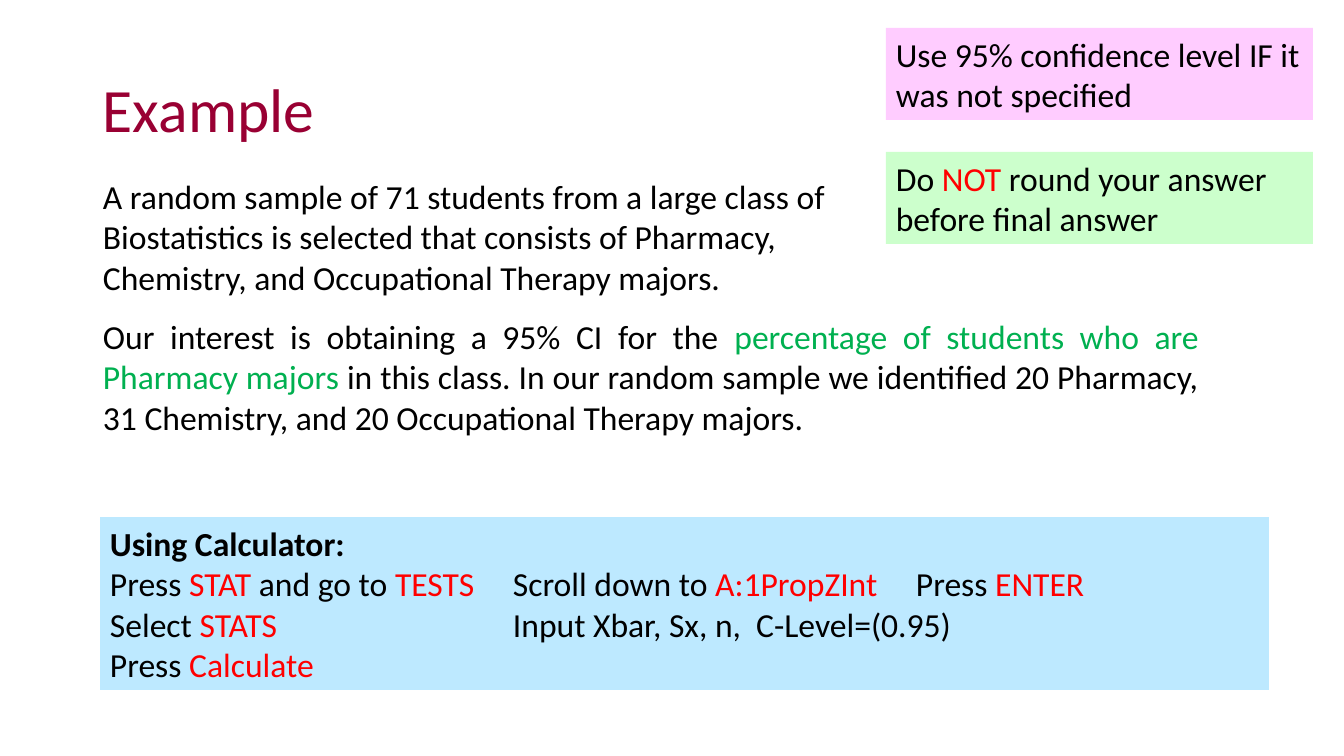
from dataclasses import dataclass

from lxml import etree
from pptx import Presentation
from pptx.dml.color import RGBColor
from pptx.enum.shapes import MSO_SHAPE
from pptx.enum.text import MSO_ANCHOR, PP_ALIGN
from pptx.oxml.ns import qn
from pptx.util import Emu, Pt

RECT = MSO_SHAPE.RECTANGLE
TOP, MIDDLE = MSO_ANCHOR.TOP, MSO_ANCHOR.MIDDLE
LEFT, JUSTIFY = PP_ALIGN.LEFT, PP_ALIGN.JUSTIFY
BLANK = 6
EMU_PER_PX = 914400 / 100.8


@dataclass(frozen=True)
class Theme:
    """Font, type sizes and colours of the slide."""
    font: str = "Calibri"
    title_size: int = 44
    body_size: int = 24
    title: str = "990033"
    text: str = "000000"
    key: str = "FF0000"
    topic: str = "00B050"
    pink: str = "FFCCFF"
    green: str = "CCFFCC"
    blue: str = "BDE9FF"


def px(n):
    """Turn whole pixels into EMU."""
    return Emu(round(n * EMU_PER_PX))


class Deck:
    """Holds the theme and the current slide."""

    def __init__(self, theme, width, height):
        """Start a presentation with one blank slide."""
        self.theme = theme
        self.prs = Presentation()
        self.prs.slide_width, self.prs.slide_height = px(width), px(height)
        self.s = self.prs.slides.add_slide(self.prs.slide_layouts[BLANK])

    def add_runs(self, sp, paragraphs, size, anchor, align=LEFT, spacing=1.0, tabs=()):
        """Fill a shape with paragraphs, each a list of (text, colour, bold) runs."""
        tf = sp.text_frame
        tf.word_wrap = True
        tf.vertical_anchor = anchor
        for i, runs in enumerate(paragraphs):
            p = tf.add_paragraph() if i else tf.paragraphs[0]
            p.alignment, p.line_spacing = align, spacing
            if tabs:
                tab_list = etree.SubElement(p._p.get_or_add_pPr(), qn("a:tabLst"))
                for stop in tabs:
                    etree.SubElement(tab_list, qn("a:tab"), pos=str(px(stop)), algn="l")
            for text, colour, *bold in runs:
                r = p.add_run()
                r.text = text
                r.font.name, r.font.size = self.theme.font, Pt(size)
                r.font.bold = bool(bold and bold[0])
                r.font.color.rgb = RGBColor.from_string(colour)

    def text(self, box, paragraphs, size=None, anchor=TOP, **style):
        """Add a plain text box."""
        sp = self.s.shapes.add_textbox(*map(px, box))
        self.add_runs(sp, paragraphs, size or self.theme.body_size, anchor, **style)

    def panel(self, box, fill, paragraphs, **style):
        """Add a filled rectangle with text."""
        sp = self.s.shapes.add_shape(RECT, *map(px, box))
        sp.shadow.inherit = False
        sp.fill.solid()
        sp.fill.fore_color.rgb = RGBColor.from_string(fill)
        sp.line.fill.background()
        self.add_runs(sp, paragraphs, self.theme.body_size, MIDDLE, **style)


def build():
    """Build the slide and return its presentation."""
    t = Theme()
    deck = Deck(t, 1344, 756)

    deck.text((93, 40, 580, 146), [[("Example", t.title)]],
              size=t.title_size, anchor=MIDDLE, spacing=0.9)
    deck.text((93, 171, 765, 132), [[
        ("A random sample of 71 students from a large class of Biostatistics is "
         "selected that consists of Pharmacy, Chemistry, and Occupational "
         "Therapy majors.", t.text)]])
    deck.text((93, 311, 1116, 132), [[
        ("Our interest is obtaining a 95% CI for the ", t.text),
        ("percentage of students who are Pharmacy majors ", t.topic),
        ("in this class. In our random sample we identified 20 Pharmacy, "
         "31 Chemistry, and 20 Occupational Therapy majors.", t.text)]],
        align=JUSTIFY)

    reminders = [
        (t.pink, [("Use 95% confidence level IF it was not specified", t.text)]),
        (t.green, [("Do ", t.text), ("NOT", t.key),
                   (" round your answer before final answer", t.text)]),
    ]
    for i, (fill, runs) in enumerate(reminders):
        deck.panel((886, 28 + 124 * i, 427, 92), fill, [runs])

    calculator_steps = [
        [("Using Calculator:", t.text, True)],
        [("Press ", t.text), ("STAT", t.key), (" and go to ", t.text),
         ("TESTS", t.key), ("\tScroll down to ", t.text),
         ("A:1PropZInt", t.key), ("\tPress ", t.text), ("ENTER", t.key)],
        [("Select ", t.text), ("STATS", t.key),
         ("\tInput Xbar, Sx, n,  C-Level=(0.95)", t.text)],
        [("Press ", t.text), ("Calculate", t.key)],
    ]
    deck.panel((100, 517, 1169, 173), t.blue, calculator_steps, tabs=(403, 806))
    return deck.prs


build().save("out.pptx")
